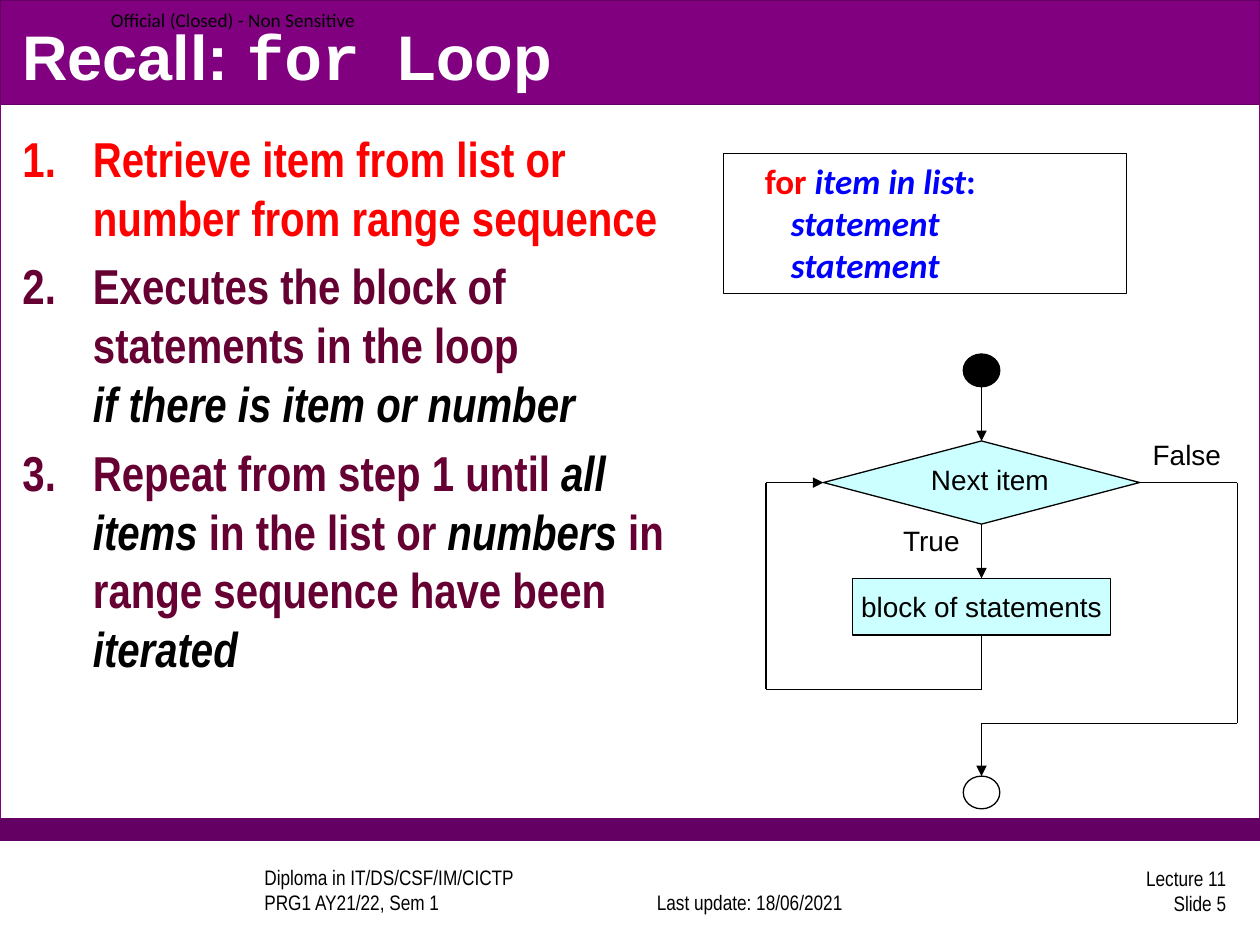
"""Build the slide that recalls the for loop with its steps and flowchart."""
from lxml.etree import SubElement
from pptx import Presentation
from pptx.dml.color import RGBColor
from pptx.enum.shapes import MSO_CONNECTOR, MSO_SHAPE
from pptx.enum.text import MSO_ANCHOR, PP_ALIGN
from pptx.oxml.ns import qn
from pptx.util import Inches, Pt

BLACK, WHITE, RED, BLUE = "000000", "FFFFFF", "FF0000", "0000FF"
PURPLE, DARK, WINE, AQUA = "800080", "640064", "660033", "CCFFFF"
TOP, MID, LOW = MSO_ANCHOR.TOP, MSO_ANCHOR.MIDDLE, MSO_ANCHOR.BOTTOM
LEFT, CENTER, RIGHT = PP_ALIGN.LEFT, PP_ALIGN.CENTER, PP_ALIGN.RIGHT

BANDS = [
    ((0, 0, 10, 6.67), WHITE, PURPLE),
    ((0, 6.5, 10, 0.17), DARK, DARK),
    ((0, 0, 10, 0.83), PURPLE, DARK),
]
FOOTERS = [
    ("Diploma in IT/DS/CSF/IM/CICTP\nPRG1 AY21/22, Sem 1", (2, 6.89, 2.67, 0.42), LOW, LEFT),
    ("Last update: 18/06/2021", (4.91, 6.89, 2.08, 0.42), LOW, CENTER),
    ("Lecture 11\nSlide 5", (7.75, 6.86, 2.08, 0.42), MID, RIGHT),
]
MARK = "Official (Closed) - Non Sensitive"
TITLE = [[("Recall: ", WHITE, "b"), ("for ", WHITE, "b", "Courier New"), ("Loop", WHITE, "b")]]
STEPS = [
    [("Retrieve item from list or number from range sequence", RED, "b")],
    [("Executes the block of statements in the loop \n", WINE, "b"),
     ("if there is item or number", BLACK, "bi")],
    [("Repeat from step 1 until ", WINE, "b"), ("all items", BLACK, "bi"),
     (" in the list or ", WINE, "b"), ("numbers", BLACK, "bi"),
     (" in range sequence have been ", WINE, "b"), ("iterated", BLACK, "bi")],
]
CODE = [
    [("   ", RED, "", "Arial"), ("for ", RED, "b"), ("item in list", BLUE, "bi"), (":", BLUE, "b")],
    [("       statement", BLUE, "bi")],
    [("       statement", BLUE, "bi")],
]
LABELS = [
    ("False", (9.05, 3.42, 0.75, 0.4)),
    ("True", (7.07, 4.11, 0.72, 0.37)),
    ("Next item", (7.29, 3.62, 1.21, 0.4)),
]
AXIS, BACK, EXIT = 7.79, 6.08, 9.82
TEST, TURN, LEAVE = 3.83, 5.47, 5.74
NODES = {
    "start": (MSO_SHAPE.FLOWCHART_CONNECTOR, 2.81, 0.29, 0.26, BLACK),
    "end": (MSO_SHAPE.FLOWCHART_CONNECTOR, 6.16, 0.29, 0.26, WHITE),
    "block": (MSO_SHAPE.FLOWCHART_PROCESS, 4.59, 2.05, 0.45, AQUA),
    "test": (MSO_SHAPE.FLOWCHART_DECISION, 3.5, 2.51, 0.66, AQUA),
}
LINES = [
    ((AXIS, 3.07), ("test", 0), True),
    (("test", 2), ("block", 0), True),
    (("block", 2), (AXIS, TURN), False),
    ((AXIS, TURN), (BACK, TURN), False),
    ((BACK, TURN), (BACK, TEST), False),
    ((BACK, TEST), ("test", 1), True),
    (("test", 3), (EXIT, TEST), False),
    ((EXIT, TEST), (EXIT, LEAVE), False),
    ((EXIT, LEAVE), (AXIS, LEAVE), False),
    ((AXIS, LEAVE), (AXIS, 6.16), True),
]


def color(code):
    return RGBColor.from_string(code)


def write(shape, paras, size, face, anchor=TOP, align=LEFT):
    frame = shape.text_frame
    frame.word_wrap = True
    frame.vertical_anchor = anchor
    for num, parts in enumerate(paras):
        para = frame.add_paragraph() if num else frame.paragraphs[0]
        para.alignment = align
        for text, tint, style, *other in parts:
            for row, piece in enumerate(text.split("\n")):
                if row:
                    para.add_line_break()
                if piece:
                    run = para.add_run()
                    run.text = piece
                    font = run.font
                    font.size, font.name = Pt(size), (other or [face])[0]
                    font.bold, font.italic = "b" in style, "i" in style
                    font.color.rgb = color(tint)
    return frame


def draw(slide, kind, place, fill, line=BLACK):
    shape = slide.shapes.add_shape(kind, *map(Inches, place))
    shape.shadow.inherit = False
    shape.fill.solid()
    shape.fill.fore_color.rgb = color(fill)
    shape.line.color.rgb = color(line)
    shape.line.width = Pt(0.75)
    return shape


def label(slide, place, *args):
    return write(slide.shapes.add_textbox(*map(Inches, place)), *args)


def number(para, first):
    props = para._p.get_or_add_pPr()
    props.set("marL", str(Inches(0.56)))
    props.set("indent", str(-Inches(0.56)))
    if not first:
        para.space_before = Pt(5.6)
    SubElement(props, qn("a:buAutoNum"), type="arabicPeriod")


def link(slide, nodes, start, stop, arrow):
    ends = [(0, 0) if end[0] in nodes else end for end in (start, stop)]
    line = slide.shapes.add_connector(
        MSO_CONNECTOR.STRAIGHT, *[Inches(n) for end in ends for n in end])
    if start[0] in nodes:
        line.begin_connect(nodes[start[0]], start[1])
    if stop[0] in nodes:
        line.end_connect(nodes[stop[0]], stop[1])
    line.line.color.rgb = color(BLACK)
    line.line.width = Pt(0.75)
    if arrow:
        SubElement(line.line._get_or_add_ln(), qn("a:tailEnd"), type="triangle")
    SubElement(line._element.spPr, qn("a:effectLst"))


def main():
    deck = Presentation()
    deck.slide_width, deck.slide_height = Inches(10), Inches(7.5)
    slide = deck.slides.add_slide(deck.slide_layouts[6])

    for place, fill, line in BANDS:
        draw(slide, MSO_SHAPE.RECTANGLE, place, fill, line)
    for text, place, anchor, align in FOOTERS:
        label(slide, place, [[(text, BLACK, "")]], 12, "Arial Narrow", anchor, align)
    mark = label(slide, (0.88, 0, 2.13, 0.31), [[(MARK, BLACK, "")]], 11, "Calibri", MID)
    mark.margin_left = mark.margin_right = mark.margin_top = mark.margin_bottom = 0

    label(slide, (0.08, 0.13, 9.83, 0.62), TITLE, 36, "Arial", MID)
    steps = label(slide, (0.08, 0.97, 5.66, 5.45), STEPS, 28, "Arial Narrow")
    for num, para in enumerate(steps.paragraphs):
        number(para, num == 0)

    nodes = {}
    for name, (kind, top, wide, high, fill) in NODES.items():
        nodes[name] = draw(slide, kind, (AXIS - wide / 2, top, wide, high), fill)
    block = write(nodes["block"], [[("block of statements", BLACK, "")]], 16, "Arial", MID, CENTER)
    block.margin_left = block.margin_right = 0
    for line in LINES:
        link(slide, nodes, *line)
    for text, place in LABELS:
        label(slide, place, [[(text, BLACK, "")]], 16, "Arial")

    code = draw(slide, MSO_SHAPE.RECTANGLE, (5.74, 1.22, 3.2, 1.11), WHITE)
    write(code, CODE, 20, "Calibri")
    deck.save("out.pptx")


if __name__ == "__main__":
    main()
